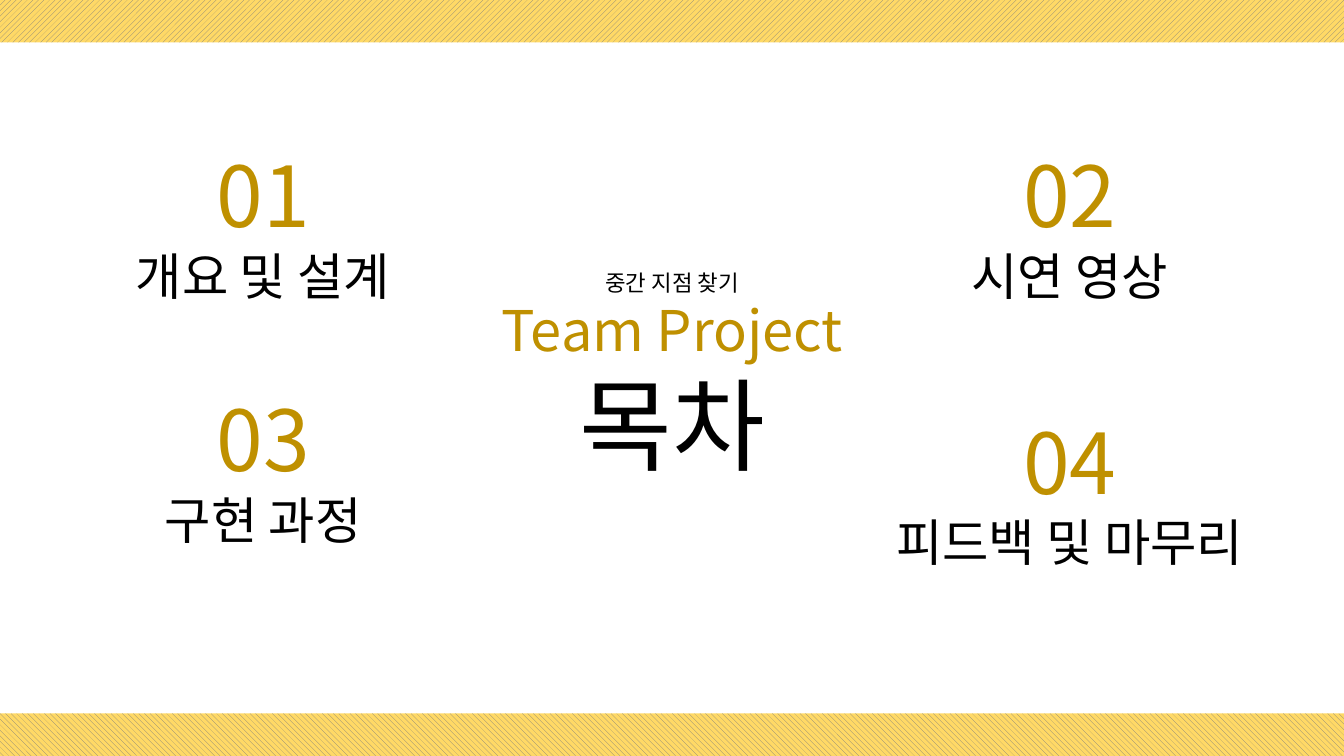
from lxml import etree
from pptx import Presentation
from pptx.dml.color import RGBColor
from pptx.enum.dml import MSO_PATTERN
from pptx.enum.shapes import MSO_SHAPE
from pptx.enum.text import MSO_AUTO_SIZE, PP_ALIGN
from pptx.oxml.ns import qn
from pptx.util import Cm, Pt

RECT = MSO_SHAPE.RECTANGLE
UP = MSO_PATTERN.WIDE_UPWARD_DIAGONAL
DOWN = MSO_PATTERN.WIDE_DOWNWARD_DIAGONAL
CENTER = PP_ALIGN.CENTER
GROW = MSO_AUTO_SIZE.SHAPE_TO_FIT_TEXT

FONT = "Noto Sans CJK KR"
COLORS = {"gold": "BF9000", "black": "000000", "stripe": "7C7C7C", "band": "FFD966"}
WIDTH, HEIGHT, BAND = 33.87, 19.05, 1.07
LEFT, MIDDLE, RIGHT = 6.63, 16.94, 26.96


class Deck:
    def __init__(self, prs):
        self.s = prs.slides.add_slide(prs.slide_layouts[6])

    def color(self, name):
        return RGBColor.from_string(COLORS[name])

    def band(self, top, pattern):
        sp = self.s.shapes.add_shape(RECT, 0, Cm(top), Cm(WIDTH), Cm(BAND))
        sp.shadow.inherit = False
        sp.line.fill.background()
        sp.fill.patterned()
        sp.fill.pattern = pattern
        sp.fill.fore_color.rgb = self.color("stripe")
        sp.fill.back_color.rgb = self.color("band")

    def text(self, center, top, width, height, lines):
        sp = self.s.shapes.add_textbox(Cm(center - width / 2), Cm(top), Cm(width), Cm(height))
        tf = sp.text_frame
        tf.word_wrap = False
        tf.auto_size = GROW
        for i, (words, size, color) in enumerate(lines):
            p = tf.add_paragraph() if i else tf.paragraphs[0]
            p.alignment = CENTER
            r = p.add_run()
            r.text = words
            r.font.size = Pt(size)
            r.font.color.rgb = self.color(color)
            r.font.name = FONT
            etree.SubElement(r.font._element, qn("a:ea"), typeface=FONT)

    def topic(self, number, title, center, top, width):
        self.text(center, top, width, 4.37, [(number, 60, "gold"), (title, 36, "black")])


def main():
    prs = Presentation()
    prs.slide_width, prs.slide_height = Cm(WIDTH), Cm(HEIGHT)
    deck = Deck(prs)
    deck.band(0, UP)
    deck.band(HEIGHT - BAND, DOWN)
    deck.text(MIDDLE, 6.65, 10.16, 5.74, [
        ("중간 지점 찾기", 16, "black"),
        ("Team Project", 40, "gold"),
        ("목차", 72, "black"),
    ])
    deck.topic("01", "개요 및 설계", LEFT, 3.5, 7.77)
    deck.topic("03", "구현 과정", LEFT, 9.65, 6.07)
    deck.topic("02", "시연 영상", RIGHT, 3.5, 6.07)
    deck.topic("04", "피드백 및 마무리", RIGHT, 10.22, 10.34)
    prs.save("out.pptx")


if __name__ == "__main__":
    main()
